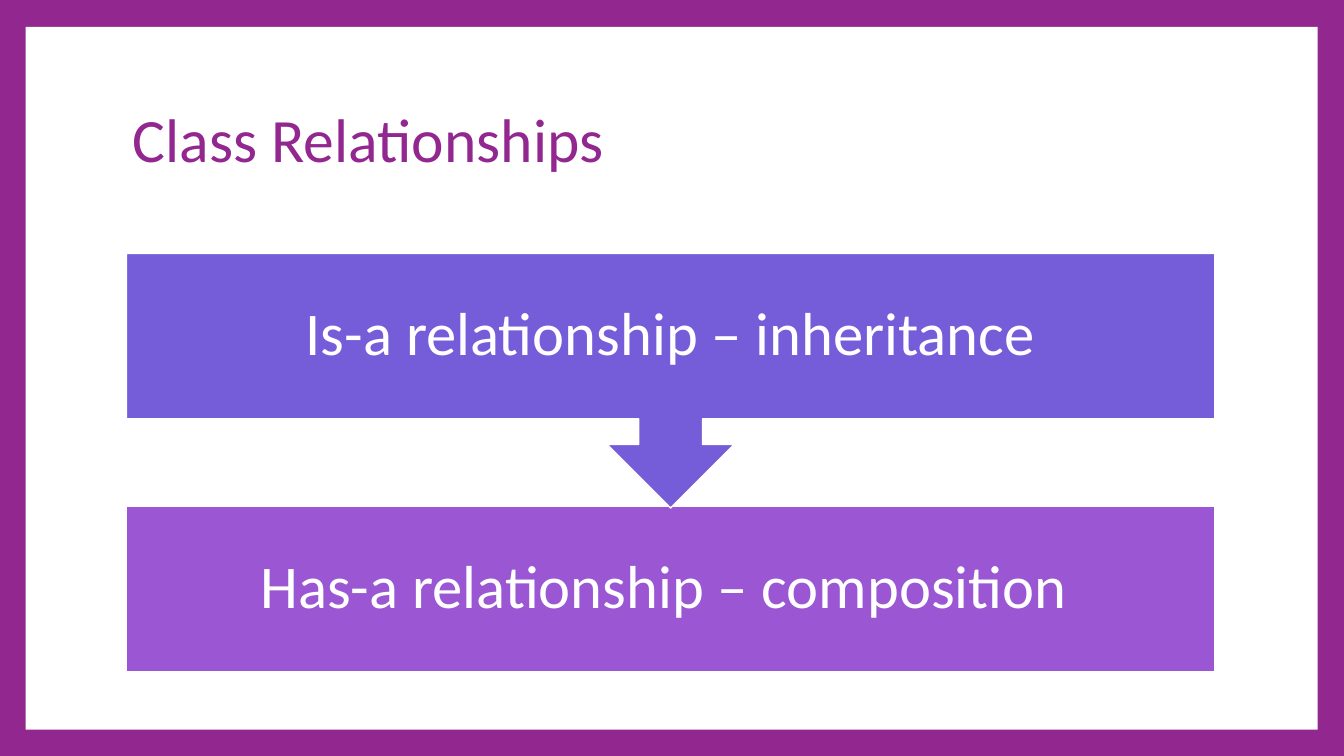
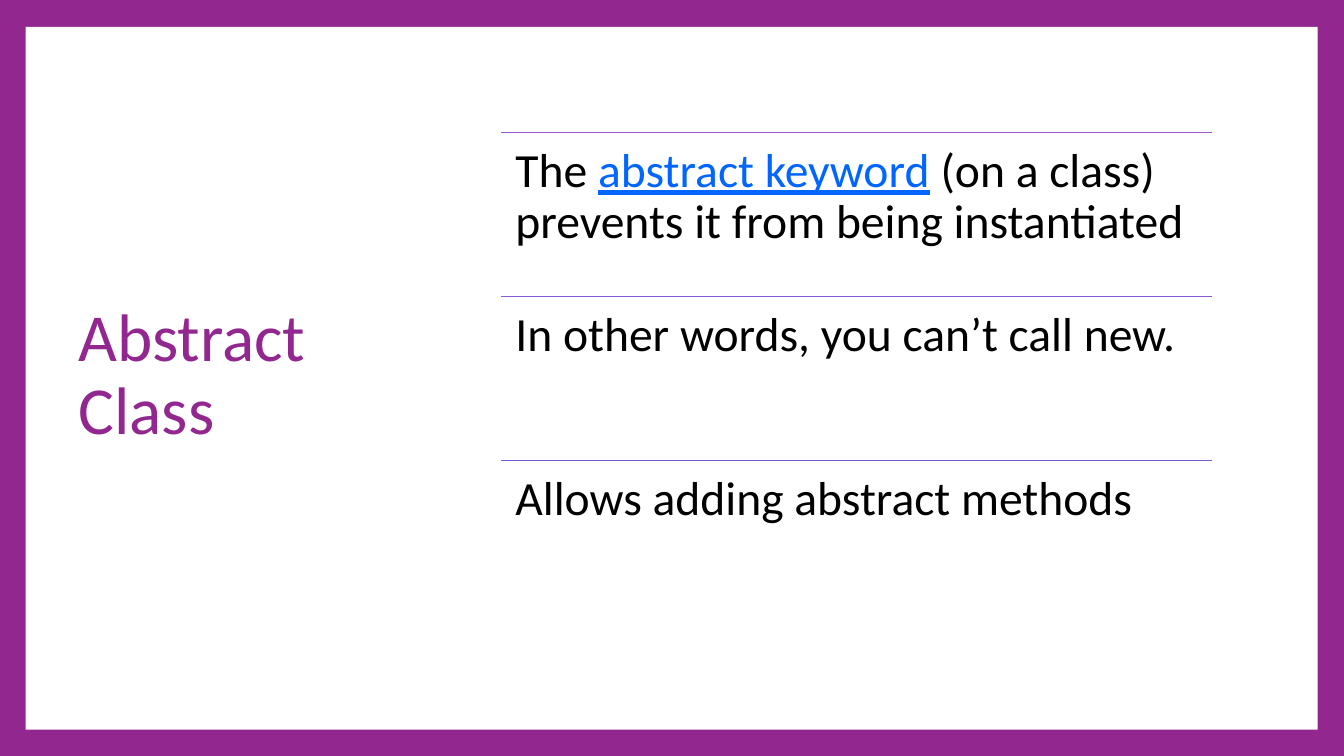
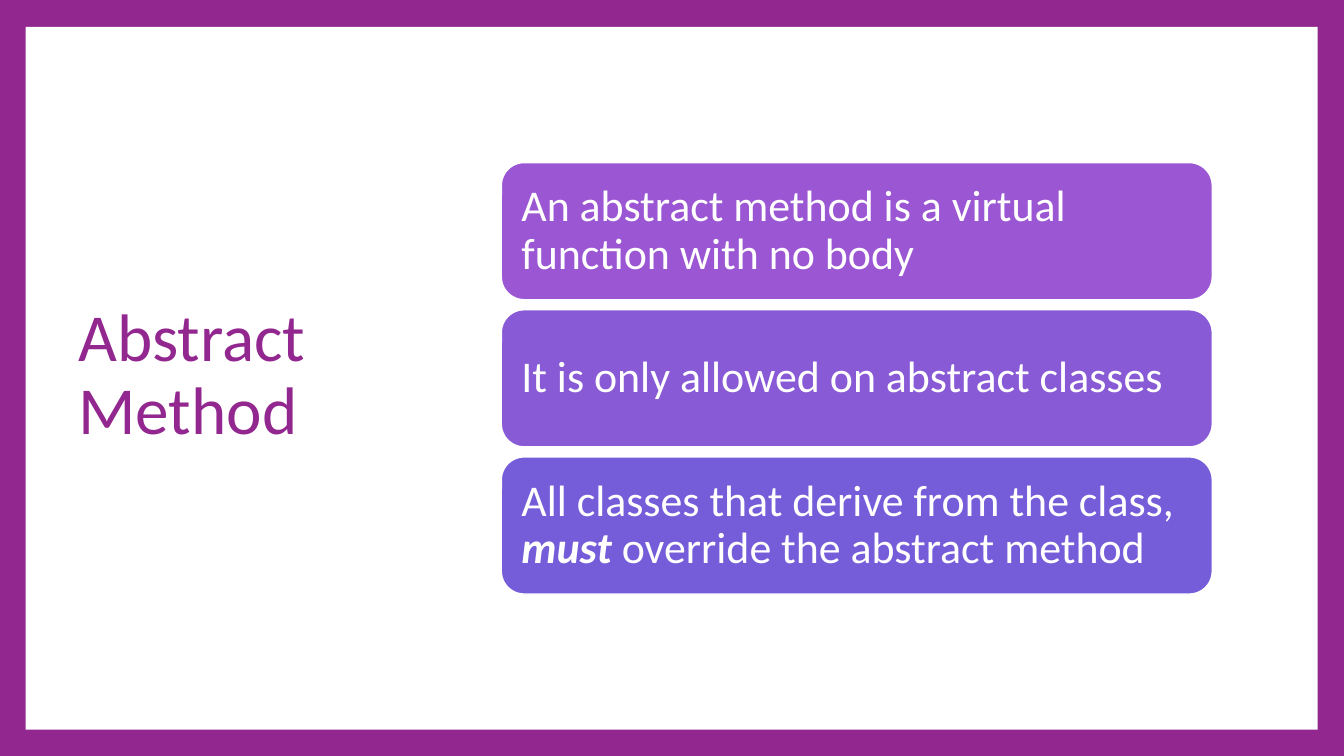
from dataclasses import dataclass
from lxml.etree import SubElement
from pptx import Presentation
from pptx.dml.color import RGBColor
from pptx.enum.shapes import MSO_CONNECTOR, MSO_SHAPE
from pptx.enum.text import MSO_ANCHOR, PP_ALIGN
from pptx.oxml.ns import qn
from pptx.util import Inches, Pt

# Content: each text is a list of (words, style) runs
LINKS = {
    "title": "Class Relationships",
    "is": [("Is-a relationship – inheritance", "")],
    "has": [("Has-a relationship – composition ", "")],
}
RULES = ("Abstract Class", [
    [("The ", ""), ("abstract keyword", "link"),
     (" (on a class) prevents it from being instantiated", "")],
    [("In other words, you can’t call new.", "")],
    [("Allows adding abstract methods", "")],
])
CARDS = ("Abstract Method", [
    [("An abstract method is a virtual function with no body", "")],
    [("It is only allowed on abstract classes", "")],
    [("All classes that derive from the class, ", ""), ("must", "strong"),
     (" override the abstract method", "")],
])


@dataclass(frozen=True)
class Theme:
    font: str = "Calibri"
    frame: str = "92278F"
    white: str = "FFFFFF"
    black: str = "000000"
    link: str = "0066FF"
    tones: tuple = ("9B57D3", "885AD6", "755DD9")
    line: float = 1.5
    head: int = 66
    side: int = 72
    banner: int = 65
    rule: int = 51
    card: int = 47


T = Theme()
WIDE = (1.88, 16.2)      # left and width of the full-width parts
LIST = (7.46, 10.58)     # left and width of the right-hand lists


def rgb(tone):
    return RGBColor.from_string(tone)


def write(shape, runs, size, tone, pad=0.1, anchor=MSO_ANCHOR.MIDDLE,
          align=PP_ALIGN.LEFT):
    frame = shape.text_frame
    frame.word_wrap = True
    frame.vertical_anchor = anchor
    frame.margin_left = frame.margin_right = Inches(pad)
    frame.margin_top = frame.margin_bottom = Inches(min(pad, pad if pad > 0.1 else 0.05))
    para = frame.paragraphs[0]
    para.alignment = align
    para.line_spacing = 0.9
    para.font.name, para.font.size = T.font, Pt(size)
    para.font.color.rgb = rgb(tone)
    for words, style in runs:
        run = para.add_run()
        run.text = words
        if style == "link":
            run.font.color.rgb = rgb(T.link)
            run.font.underline = True
        elif style == "strong":
            run.font.bold = run.font.italic = True


def block(slide, kind, box, fill, edge=True):
    shape = slide.shapes.add_shape(kind, *map(Inches, box))
    shape.shadow.inherit = False
    shape.fill.solid()
    shape.fill.fore_color.rgb = rgb(fill)
    if edge:
        shape.line.color.rgb = rgb(T.white)
        shape.line.width = Pt(T.line)
    else:
        shape.line.fill.background()
    return shape


def rule(slide, left, top, width, tone):
    line = slide.shapes.add_connector(
        MSO_CONNECTOR.STRAIGHT, *map(Inches, (left, top, left + width, top)))
    line.line.color.rgb = rgb(tone)
    line.line.width = Pt(T.line)
    SubElement(line._element.spPr, qn("a:effectLst"))


def label(slide, box):
    return slide.shapes.add_textbox(*map(Inches, box))


def start(deck, title, box, size):
    """Add a slide with its coloured frame, white panel and title."""
    slide = deck.slides.add_slide(deck.slide_layouts[6])
    slide.background.fill.solid()
    slide.background.fill.fore_color.rgb = rgb(T.frame)
    block(slide, MSO_SHAPE.RECTANGLE, (0.38, 0.4, 19.23, 10.46), T.white, False)
    write(label(slide, box), [(title, "")], size, T.frame)
    return slide


def start_side(deck, title):
    return start(deck, title, (1.07, 1, 5.52, 9.2), T.side)


def links(deck):
    left, width = WIDE
    slide = start(deck, LINKS["title"], (left, 1, width, 2.23), T.head)
    parts = [
        (MSO_SHAPE.RECTANGLE, 7.53, 2.47, T.tones[0], LINKS["has"]),
        (MSO_SHAPE.DOWN_ARROW_CALLOUT, 3.77, 3.79, T.tones[2], LINKS["is"]),
    ]
    for kind, top, height, tone, runs in parts:
        shape = block(slide, kind, (left, top, width, height), tone)
        write(shape, runs, T.banner, T.white, 0.51, align=PP_ALIGN.CENTER)


def rules(deck):
    title, rows = RULES
    slide = start_side(deck, title)
    left, width = LIST
    first, step = 1.97, 2.44
    for i, (runs, tone) in enumerate(zip(rows, T.tones)):
        top = first + i * step
        rule(slide, left, top, width, tone)
        write(label(slide, (left, top, width, step)), runs, T.rule, T.black,
              0.21, MSO_ANCHOR.TOP)


def cards(deck):
    title, rows = CARDS
    slide = start_side(deck, title)
    left, width = LIST
    first, height, step = 2.42, 2.04, 2.19
    for i, (runs, tone) in enumerate(zip(rows, T.tones)):
        box = (left, first + i * step, width, height)
        shape = block(slide, MSO_SHAPE.ROUNDED_RECTANGLE, box, tone)
        write(shape, runs, T.card, T.white, 0.2)


def main():
    deck = Presentation()
    deck.slide_width, deck.slide_height = Inches(20), Inches(11.25)
    for build in (links, rules, cards):
        build(deck)
    deck.save("out.pptx")


if __name__ == "__main__":
    main()
